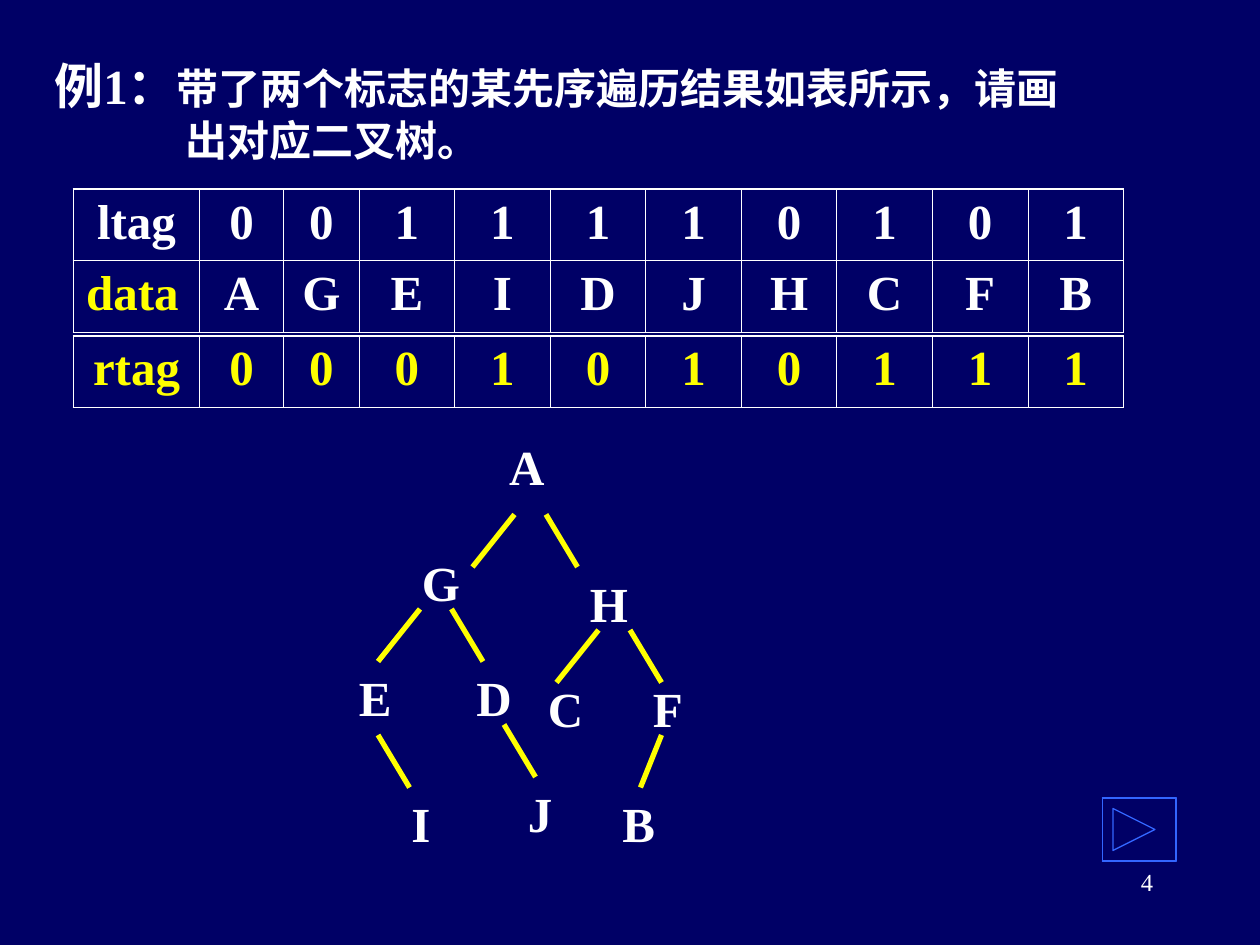
import pptx
import pptx.util
import pptx.dml.color
import pptx.enum.text
import pptx.enum.shapes
import pptx.oxml.ns
import lxml.etree

HUES = {"back": "000066", "text": "FFFFFF", "mark": "FFFF00", "key": "3366FF"}
FONT = "Times New Roman"
UNIT = pptx.util.Inches(1) / 12
WIDE, HIGH = 120, 90
ALIGN = pptx.enum.text.PP_ALIGN
COLS = [12, 8, 7.2] + [9.1] * 8
ROW = 6.8
THIN, BOLD = 0.45, 1.08
PLAIN = "{2D5ABB26-0587-4C30-8999-92F81FD0307C}"


def span(num):
    return pptx.util.Emu(round(num * UNIT))


def place(box):
    return [span(num) for num in box]


def hue(name):
    return pptx.dml.color.RGBColor.from_string(HUES[name])


def node(root, tag, **attrs):
    return lxml.etree.SubElement(root, pptx.oxml.ns.qn(tag), attrs)


def write(frame, text, size=28, color="text", bold=True, align=ALIGN.LEFT, hang=0):
    para = frame.paragraphs[0]
    para.alignment = align
    if hang:
        props = para._p.get_or_add_pPr()
        props.set("marL", str(span(hang)))
        props.set("indent", str(-span(hang)))
    parts = [(text, size)] if isinstance(text, str) else text
    for words, points in parts:
        run = para.add_run()
        run.text = words
        run.font.name = FONT
        run.font.size = pptx.util.Pt(points)
        run.font.bold = bold
        run.font.color.rgb = hue(color)


def label(slide, box, text, middle=False, **form):
    frame = slide.shapes.add_textbox(*place(box)).text_frame
    frame.word_wrap = True
    if middle:
        frame.vertical_anchor = pptx.enum.text.MSO_ANCHOR.MIDDLE
    write(frame, text, **form)


def edge(cell, **sides):
    props = cell._tc.get_or_add_tcPr()
    for side in "LRTB":
        line = node(props, "a:ln" + side, w=str(pptx.util.Pt(sides[side])))
        node(node(line, "a:solidFill"), "a:srgbClr", val=HUES["text"])


def grid(slide, box, rows, rim, heads, first=ALIGN.CENTER):
    table = slide.shapes.add_table(len(rows), len(COLS), *place(box)).table
    table.first_row = table.horz_banding = False
    table._tbl.tblPr.find(pptx.oxml.ns.qn("a:tableStyleId")).text = PLAIN
    for col, wide in zip(table.columns, COLS):
        col.width = span(wide)
    last = len(COLS) - 1
    for row, words in enumerate(rows):
        table.rows[row].height = span(box[3] / len(rows))
        for col in range(len(COLS)):
            cell = table.cell(row, col)
            if words:
                edge(cell, L=THIN if col else BOLD,
                     R=BOLD if col == last else THIN, T=rim, B=rim)
                write(cell.text_frame, words[col],
                      color=heads[bool(col)],
                      align=ALIGN.CENTER if col else first)
            cell.fill.background()


def tags(slide, box):
    x, y, wide, _ = box
    grid(slide, (x, y, wide, 3 * ROW), [None, ["data", *"AGEIDJHCFB"], None],
         THIN, ["mark", "text"], ALIGN.LEFT)
    grid(slide, (x, y, wide, ROW), [["ltag", *"0011110101"]],
         BOLD, ["text", "text"])
    grid(slide, (x, y + 14, wide, ROW), [["rtag", *"0001010111"]],
         BOLD, ["mark", "mark"])


def tree(slide, box):
    left, top, _, _ = box
    nodes = [("A", 14.3, 0, 5.8), ("G", 6, 11, 6), ("E", 0, 22, 5.5),
             ("I", 5, 34, 4.2), ("D", 11.2, 22, 5.8), ("J", 16.1, 33, 4.7),
             ("H", 22, 13, 6), ("C", 18, 23, 5.8), ("F", 28, 23, 5.3),
             ("B", 25.1, 34, 5.5)]
    links = [(7, 17, -4), (10, 17, 3), (16, 8, -4), (19, 8, 3), (3, 29, 3),
             (15, 28, 3), (24, 19, -4), (27, 19, 3), (30, 29, -2)]
    drop = 5
    for x, y, shift in links:
        ends = (left + x, top + y, left + x + shift, top + y + drop)
        line = slide.shapes.add_connector(
            pptx.enum.shapes.MSO_CONNECTOR.STRAIGHT, *place(ends))
        line.line.color.rgb = hue("mark")
        line.line.width = pptx.util.Pt(3)
        node(line._element.spPr, "a:effectLst")
    for name, x, y, wide in nodes:
        label(slide, (left + x, top + y, wide, ROW), name)


def button(slide, box):
    x, y, wide, high = box
    rim = 0.4

    def ring(gap):
        return [(x + gap, y + gap), (x + wide - gap, y + gap),
                (x + wide - gap, y + high - gap), (x + gap, y + high - gap)]

    outer, inner = ring(0), ring(rim)
    arrow = [(x + 1.5, y + 1), (x + 4.9, y + high / 2), (x + 1.5, y + high - 1)]
    bevels = [[outer[i], outer[i - 3], inner[i - 3], inner[i]] for i in range(4)]
    paths = [outer, *bevels, arrow]
    build = slide.shapes.build_freeform(*paths[0][0], scale=UNIT)
    for num, pts in enumerate(paths):
        if num:
            build.move_to(*pts[0])
        build.add_line_segments(pts[1:], close=True)
    shape = build.convert_to_shape()
    shape.shadow.inherit = False
    shape.fill.background()
    shape.line.color.rgb = hue("key")
    shape.line.width = pptx.util.Pt(0.75)


def main():
    deck = pptx.Presentation()
    deck.slide_width, deck.slide_height = span(WIDE), span(HIGH)
    slide = deck.slides.add_slide(deck.slide_layouts[6])
    slide.background.fill.solid()
    slide.background.fill.fore_color.rgb = hue("back")
    label(slide, (86, 82, 25, 6), "4", size=14, bold=False, align=ALIGN.RIGHT)
    tags(slide, (7, 18, 100, 20.8))
    tree(slide, (33, 41, 34, 41))
    button(slide, (105, 76, 7, 6))
    label(slide, (4, 3, 102, 15),
          [("例1：", 28), ("带了两个标志的某先序遍历结果如表所示，请画出对应二叉树。", 24)],
          middle=True, hang=12.5)
    deck.save("out.pptx")


if __name__ == "__main__":
    main()
